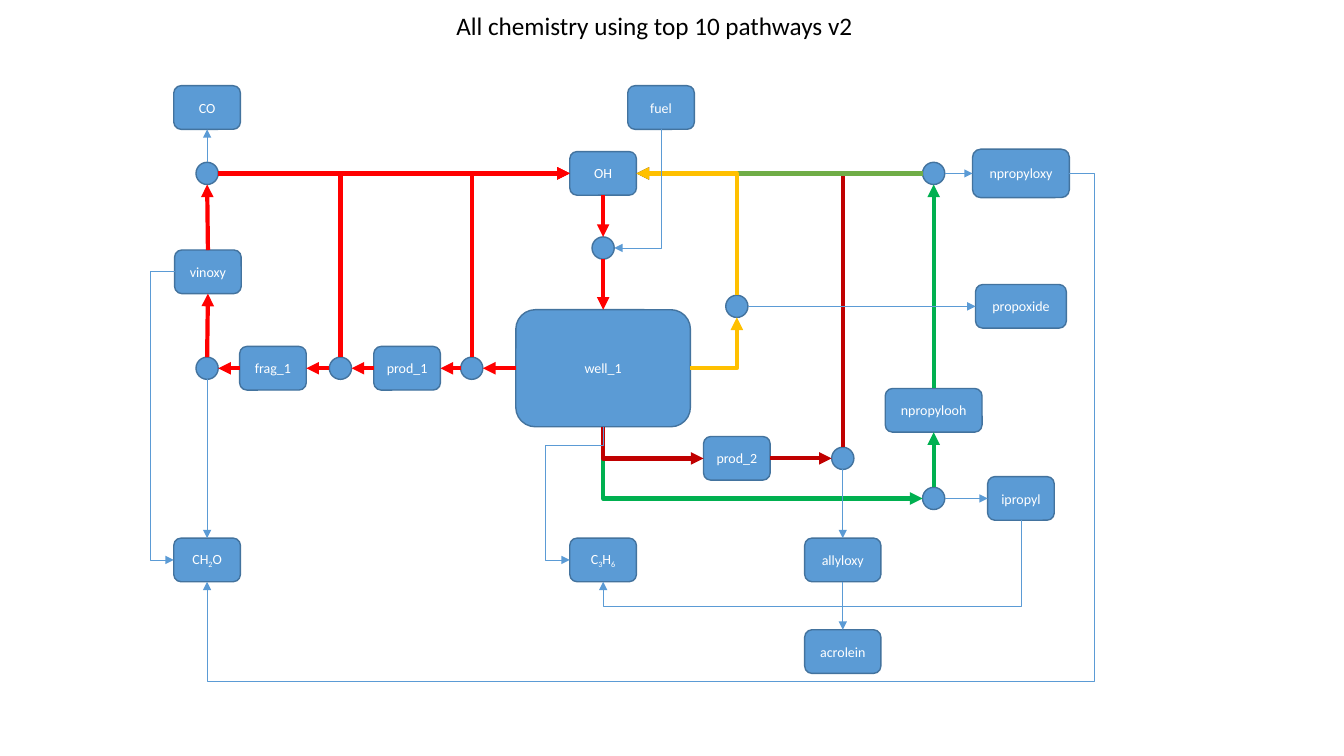
from itertools import groupby
from lxml.etree import SubElement as Sub
from pptx import Presentation
from pptx.dml.color import RGBColor
from pptx.enum.shapes import MSO_CONNECTOR as Link, MSO_SHAPE as Shape
from pptx.enum.text import MSO_ANCHOR as Anchor, MSO_AUTO_SIZE as Auto, PP_ALIGN as Align
from pptx.oxml.ns import qn
from pptx.util import Cm, Pt

BLUE = RGBColor(0x5B, 0x9B, 0xD5)
EDGE = RGBColor(0x43, 0x73, 0x9E)
RED = RGBColor(0xFF, 0x00, 0x00)
DARK = RGBColor(0xC0, 0x00, 0x00)
GREEN = RGBColor(0x00, 0xB0, 0x50)
LEAF = RGBColor(0x70, 0xAD, 0x47)
GOLD = RGBColor(0xFF, 0xC0, 0x00)
WHITE = RGBColor(0xFF, 0xFF, 0xFF)
BLACK = RGBColor(0x00, 0x00, 0x00)
FONT = "Calibri"

SMALL = (1.68, 1.1)
MID = (1.92, 1.1)
WIDE = (2.44, 1.1)
DOT = 0.56

BOXES = [
    ("prod_1", 7.26, 7.28, SMALL),
    ("frag_1", 3.88, 7.28, SMALL),
    ("vinoxy", 2.24, 4.85, SMALL),
    ("CH2O", 2.22, 12.11, SMALL),
    ("CO", 2.22, 0.71, SMALL),
    ("well_1", 12.2, 7.28, (4.4, 2.95)),
    ("ipropyl", 22.73, 10.56, SMALL),
    ("C3H6", 12.2, 12.11, SMALL),
    ("prod_2", 15.57, 9.55, SMALL),
    ("allyloxy", 18.24, 12.11, MID),
    ("acrolein", 18.24, 14.42, MID),
    ("propoxide", 22.73, 5.72, (2.29, 1.1)),
    ("npropylooh", 20.53, 8.34, WIDE),
    ("npropyloxy", 22.73, 2.37, (2.44, 1.22)),
    ("OH", 12.2, 2.37, SMALL),
    ("fuel", 13.66, 0.71, SMALL),
]

DOTS = [
    ("to CO", 2.22, 2.37),
    ("to vinoxy", 2.22, 7.28),
    ("to frag", 5.58, 7.28),
    ("to prod", 8.89, 7.28),
    ("to ooh", 20.53, 10.56),
    ("to oxide", 15.57, 5.72),
    ("to allyl", 18.24, 9.55),
    ("to oxy", 20.53, 2.37),
    ("to well", 12.2, 4.25),
]

THICK = [
    ("to well", "b", "well_1", "t", RED),
    ("vinoxy", "t", "to CO", "b", RED),
    ("frag_1", "l", "to vinoxy", "r", RED),
    ("to vinoxy", "t", "vinoxy", "b", RED),
    ("prod_1", "l", "to frag", "r", RED),
    ("to frag", "l", "frag_1", "r", RED),
    ("well_1", "l", "to prod", "r", RED),
    ("to prod", "l", "prod_1", "r", RED),
    ("to ooh", "t", "npropylooh", "b", GREEN),
    ("npropylooh", "t", "to oxy", "b", GREEN),
    ("prod_2", "r", "to allyl", "l", DARK),
    ("to allyl", "t", "OH", "r", DARK),
    ("well_1", "r", "to oxide", "b", GOLD),
    ("to prod", "t", "OH", "l", RED),
    ("to frag", "t", "OH", "l", RED),
    ("to oxy", "l", "OH", "r", LEAF),
    ("to oxide", "t", "OH", "r", GOLD),
    ("OH", "b", "to well", "t", RED),
    ("well_1", "b", "to ooh", "l", GREEN),
    ("well_1", "b", "prod_2", "l", DARK),
    ("to CO", "r", "OH", "l", RED),
]

THIN = [
    ("to ooh", "r", "ipropyl", "l", []),
    ("to oxide", "r", "propoxide", "l", []),
    ("to allyl", "b", "allyloxy", "t", []),
    ("allyloxy", "b", "acrolein", "t", []),
    ("vinoxy", "l", "CH2O", "l", [0.79]),
    ("fuel", "b", "to well", "r", []),
    ("to vinoxy", "b", "CH2O", "t", []),
    ("to oxy", "r", "npropyloxy", "l", []),
    ("npropyloxy", "r", "CH2O", "b", [24.57, 15.17]),
    ("ipropyl", "b", "C3H6", "b", [13.29]),
    ("well_1", "b", "C3H6", "l", [9.23, 10.74]),
    ("to CO", "t", "CO", "b", []),
]

SIDES = {"t": (0, -1), "l": (-1, 0), "b": (0, 1), "r": (1, 0)}


def title(slide, left, top, wide, high):
    box = slide.shapes.add_textbox(Cm(left), Cm(top), Cm(wide), Cm(high))
    frame = box.text_frame
    frame.word_wrap = False
    frame.auto_size = Auto.SHAPE_TO_FIT_TEXT
    frame.text = "All chemistry using top 10 pathways v2"
    font = frame.paragraphs[0].runs[0].font
    font.name, font.size = FONT, Pt(18)
    font.color.rgb = BLACK


def node(slide, kind, x, y, wide, high):
    shape = slide.shapes.add_shape(kind, Cm(x - wide / 2), Cm(y - high / 2), Cm(wide), Cm(high))
    shape.shadow.inherit = False
    shape.fill.solid()
    shape.fill.fore_color.rgb = BLUE
    shape.line.color.rgb = EDGE
    shape.line.width = Pt(1)
    return shape


def label(shape, text):
    frame = shape.text_frame
    frame.vertical_anchor = Anchor.MIDDLE
    para = frame.paragraphs[0]
    para.alignment = Align.CENTER
    parts = [(False, text)]
    if text.isupper():
        parts = [(low, "".join(part)) for low, part in groupby(text, str.isdigit)]
    for low, part in parts:
        run = para.add_run()
        run.text = part
        run.font.name, run.font.size = FONT, Pt(10)
        run.font.color.rgb = WHITE
        if low:
            run._r.get_or_add_rPr().set("baseline", "-25000")


def port(spot, side):
    x, y, wide, high = spot
    dx, dy = SIDES[side]
    return x + dx * wide / 2, y + dy * high / 2


def draw(slide, start, end, side, bends):
    (ax, ay), (bx, by) = start, end
    dx, dy = bx - ax, by - ay
    if not bends and min(abs(dx), abs(dy)) < 0.03:
        return slide.shapes.add_connector(Link.STRAIGHT, Cm(ax), Cm(ay), Cm(bx), Cm(by))
    first = 0 if side in "lr" else 1
    if first:
        mx, my = (ax + bx) / 2, (ay + by) / 2
        ax, ay, bx, by = mx - dy / 2, my + dx / 2, mx + dy / 2, my - dx / 2
    line = slide.shapes.add_connector(Link.ELBOW, Cm(ax), Cm(ay), Cm(bx), Cm(by))
    props = line._element.spPr
    if first:
        props.find(qn("a:xfrm")).set("rot", "5400000")
    geom = props.find(qn("a:prstGeom"))
    geom.set("prst", f"bentConnector{2 + len(bends)}")
    for i, bend in enumerate(bends):
        axis = (first + i) % 2
        ratio = (bend - start[axis]) / (dx, dy)[axis]
        Sub(geom.find(qn("a:avLst")), qn("a:gd"), name=f"adj{i + 1}", fmla=f"val {round(ratio * 100000)}")
    return line


def glue(line, tag, shape, side):
    site = "tlbr".index(side)
    if shape.auto_shape_type == Shape.OVAL:
        site *= 2
    holder = line._element.find(".//" + qn("p:cNvCxnSpPr"))
    Sub(holder, qn(tag), id=str(shape.shape_id), idx=str(site))


def chart(slide, left, top):
    spots, shapes = {}, {}
    for name, x, y, (wide, high) in BOXES:
        spots[name] = (left + x, top + y, wide, high)
        shapes[name] = node(slide, Shape.ROUNDED_RECTANGLE, *spots[name])
        label(shapes[name], name)
    for name, x, y in DOTS:
        spots[name] = (left + x, top + y, DOT, DOT)
        shapes[name] = node(slide, Shape.OVAL, *spots[name])
    links = [(*link[:4], [], link[4], 3) for link in THICK]
    links += [(*link, BLUE, 0.5) for link in THIN]
    for src, out, dest, into, bends, color, size in links:
        axis = 0 if out in "lr" else 1
        moved = [bend + (left, top)[(axis + i) % 2] for i, bend in enumerate(bends)]
        line = draw(slide, port(spots[src], out), port(spots[dest], into), out, moved)
        glue(line, "a:stCxn", shapes[src], out)
        glue(line, "a:endCxn", shapes[dest], into)
        line.line.color.rgb = color
        line.line.width = Pt(size)
        Sub(line.line._get_or_add_ln(), qn("a:tailEnd"), type="triangle")
        Sub(line._element.spPr, qn("a:effectLst"))


deck = Presentation()
deck.slide_width, deck.slide_height = Cm(33.87), Cm(19.05)
page = deck.slides.add_slide(deck.slide_layouts[6])
chart(page, 3, 2)
title(page, 11.25, 0.13, 10.62, 1.02)
deck.save("out.pptx")
